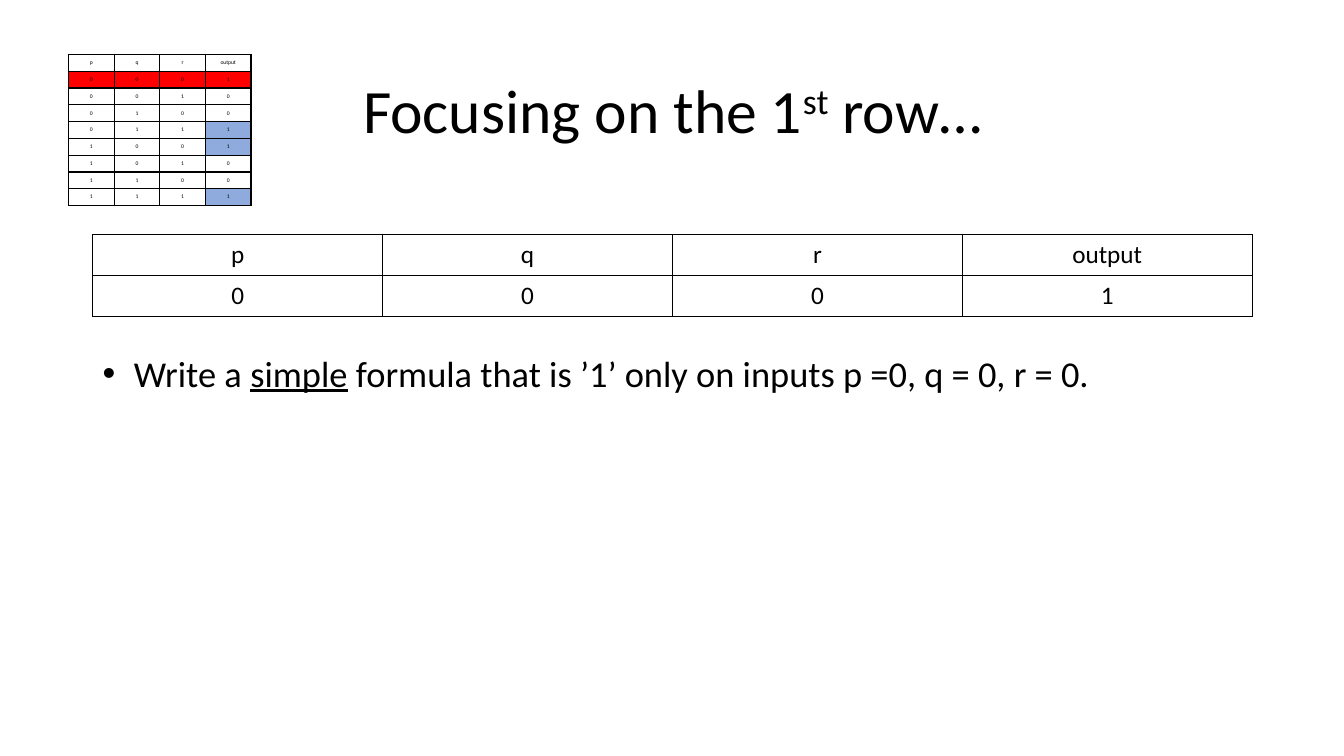
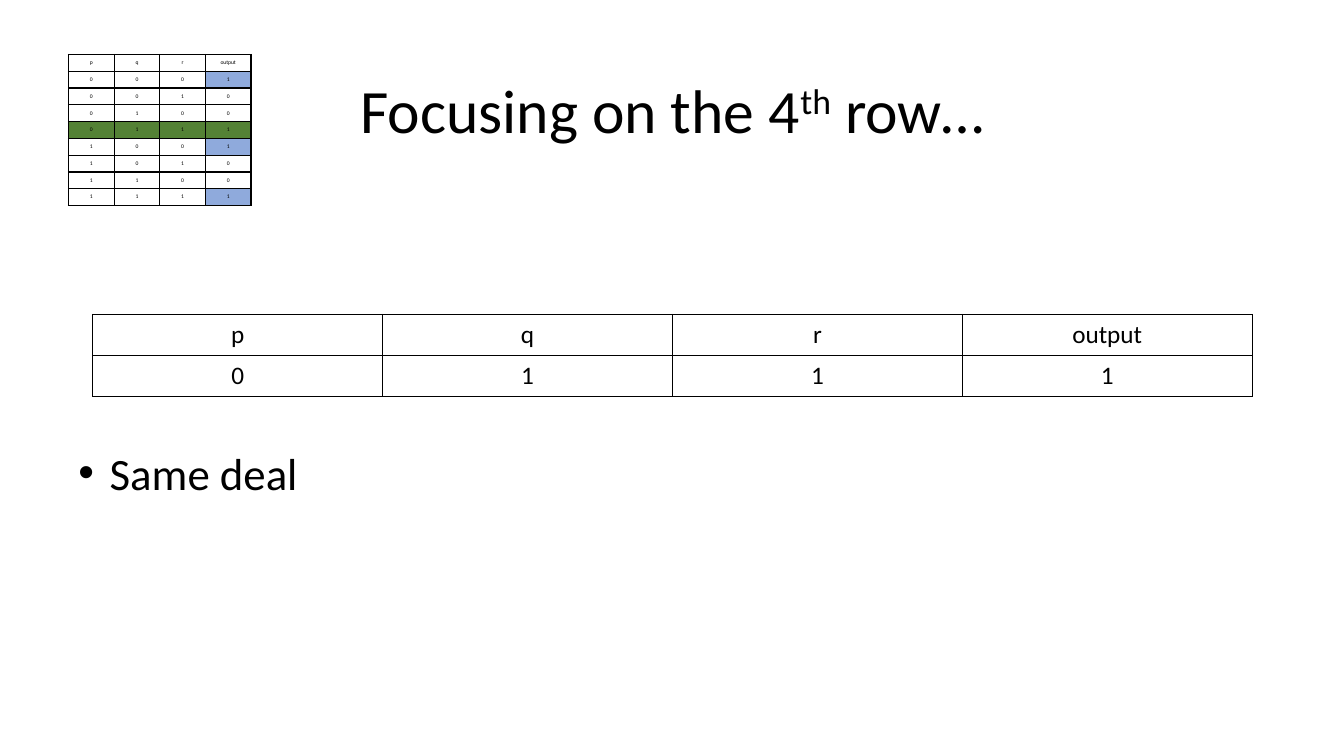
from itertools import product

from lxml import etree
from pptx import Presentation
from pptx.dml.color import RGBColor
from pptx.enum.text import MSO_ANCHOR, PP_ALIGN
from pptx.oxml.ns import qn
from pptx.util import Inches, Pt

CENTER = PP_ALIGN.CENTER
MIDDLE = MSO_ANCHOR.MIDDLE
BLANK_LAYOUT = 6
FONT = "Calibri"
COLORS = {"text": "000000", "border": "000000", "true": "8FAADC",
          "first": "FF0000", "fourth": "548235"}

# Truth table: every input combination with its output
HEADER = ["p", "q", "r", "output"]
OUTPUTS = [1, 0, 0, 1, 1, 0, 0, 1]
TRUTH_ROWS = [[*inputs, output]
              for inputs, output in zip(product([0, 1], repeat=3), OUTPUTS)]


def add_text(para, text, size, underline=False, superscript=False):
    span = para.add_run()
    span.text = str(text)
    span.font.name = FONT
    span.font.size = Pt(size)
    span.font.color.rgb = RGBColor.from_string(COLORS["text"])
    if underline:
        span.font.underline = True
    if superscript:
        span.font._element.set("baseline", "30000")


def add_borders(cell):
    properties = cell._tc.get_or_add_tcPr()
    for index, side in enumerate(("lnL", "lnR", "lnT", "lnB")):
        line = etree.Element(qn(f"a:{side}"), w=str(Pt(1)))
        solid = etree.SubElement(line, qn("a:solidFill"))
        etree.SubElement(solid, qn("a:srgbClr"), val=COLORS["border"])
        properties.insert(index, line)


class TruthDeck:
    def __init__(self):
        self.deck = Presentation()
        self.deck.slide_width = Inches(13.33)
        self.deck.slide_height = Inches(7.5)
        self.page = None

    def new_page(self):
        layout = self.deck.slide_layouts[BLANK_LAYOUT]
        self.page = self.deck.slides.add_slide(layout)

    def text_box(self, left, top, width, height):
        box = self.page.shapes.add_textbox(
            Inches(left), Inches(top), Inches(width), Inches(height))
        box.text_frame.word_wrap = True
        return box.text_frame

    def title(self, number, suffix):
        frame = self.text_box(0.92, 0.4, 11.5, 1.45)
        frame.vertical_anchor = MIDDLE
        para = frame.paragraphs[0]
        para.alignment = CENTER
        para.line_spacing = 0.9
        add_text(para, f"Focusing on the {number}", 44)
        add_text(para, suffix, 44, superscript=True)
        add_text(para, " row…", 44)

    def bullet(self, left, top, width, height, size, parts):
        para = self.text_box(left, top, width, height).paragraphs[0]
        properties = para._p.get_or_add_pPr()
        properties.set("marL", str(Inches(0.31)))
        properties.set("indent", str(-Inches(0.31)))
        etree.SubElement(properties, qn("a:buFont"), typeface="Arial")
        etree.SubElement(properties, qn("a:buChar"), char="•")
        for text, underline in parts:
            add_text(para, text, size, underline=underline)

    def table(self, left, top, width, height, rows, size, margins, fills=None):
        fills = fills or {}
        table = self.page.shapes.add_table(
            len(rows), len(HEADER), Inches(left), Inches(top),
            Inches(width), Inches(height)).table
        table.first_row = table.horz_banding = False
        for row_index, values in enumerate(rows):
            for column_index, value in enumerate(values):
                cell = table.cell(row_index, column_index)
                side, edge = margins
                cell.margin_left = cell.margin_right = Inches(side)
                cell.margin_top = cell.margin_bottom = Inches(edge)
                cell.vertical_anchor = MIDDLE
                color = fills.get((row_index, column_index))
                if color:
                    cell.fill.solid()
                    cell.fill.fore_color.rgb = RGBColor.from_string(color)
                else:
                    cell.fill.background()
                add_borders(cell)
                para = cell.text_frame.paragraphs[0]
                para.alignment = CENTER
                add_text(para, value, size)

    def focus_table(self, top, number):
        self.table(0.92, top, 11.5, 0.81, [HEADER, TRUTH_ROWS[number - 1]],
                   18, (0.1, 0.05))

    def overview_table(self, number, color):
        last = len(HEADER) - 1
        fills = {(row, last): COLORS["true"]
                 for row, output in enumerate(OUTPUTS, 1) if output}
        fills.update({(number, column): color for column in range(last + 1)})
        self.table(0.68, 0.54, 1.81, 1.5, [HEADER, *TRUTH_ROWS],
                   4, (0.05, 0.04), fills)


def main():
    show = TruthDeck()

    # First row
    show.new_page()
    show.title(1, "st")
    show.focus_table(2.33, 1)
    show.bullet(0.92, 3.43, 12.26, 0.54, 26, [
        ("Write a ", False), ("simple", True),
        (" formula that is ’1’ only on inputs p =0, q = 0, r = 0.", False)])
    show.overview_table(1, COLORS["first"])

    # Fourth row
    show.new_page()
    show.title(4, "th")
    show.focus_table(3.12, 4)
    show.bullet(0.68, 4.37, 11.73, 0.64, 32, [("Same deal", False)])
    show.overview_table(4, COLORS["fourth"])

    show.deck.save("out.pptx")


if __name__ == "__main__":
    main()
